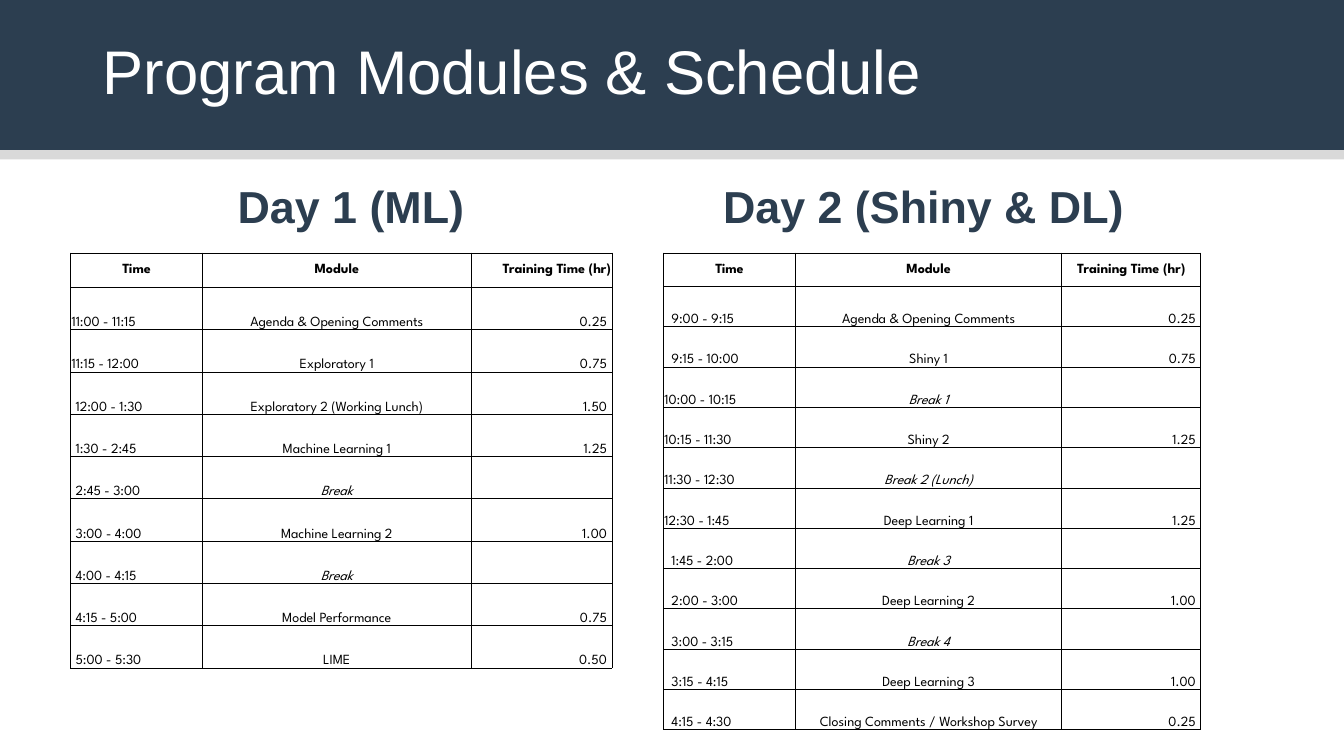
from lxml.etree import SubElement
from pptx import Presentation
from pptx.dml.color import RGBColor
from pptx.enum.shapes import MSO_SHAPE as Shape
from pptx.enum.text import MSO_ANCHOR as Anchor, PP_ALIGN as Align
from pptx.oxml.ns import qn
from pptx.util import Inches, Pt

COLORS = {"navy": "2C3E50", "white": "FFFFFF", "rule": "D9D9D9", "ink": "000000"}
CELL_FONT = "League Spartan"
HEADERS = ("Time", "Module", "Training Time (hr)")
DAY_1 = [
    ("11:00 - 11:15", "Agenda & Opening Comments", "0.25"),
    ("11:15 - 12:00", "Exploratory 1", "0.75"),
    ("12:00 - 1:30", "Exploratory 2 (Working Lunch)", "1.50"),
    ("1:30 - 2:45", "Machine Learning 1", "1.25"),
    ("2:45 - 3:00", "Break", ""),
    ("3:00 - 4:00", "Machine Learning 2", "1.00"),
    ("4:00 - 4:15", "Break", ""),
    ("4:15 - 5:00", "Model Performance", "0.75"),
    ("5:00 - 5:30", "LIME", "0.50"),
]
DAY_2 = [
    ("9:00 - 9:15", "Agenda & Opening Comments", "0.25"),
    ("9:15 - 10:00", "Shiny 1", "0.75"),
    ("10:00 - 10:15", "Break 1", ""),
    ("10:15 - 11:30", "Shiny 2", "1.25"),
    ("11:30 - 12:30", "Break 2 (Lunch)", ""),
    ("12:30 - 1:45", "Deep Learning 1", "1.25"),
    ("1:45 - 2:00", "Break 3", ""),
    ("2:00 - 3:00", "Deep Learning 2", "1.00"),
    ("3:00 - 3:15", "Break 4", ""),
    ("3:15 - 4:15", "Deep Learning 3", "1.00"),
    ("4:15 - 4:30", "Closing Comments / Workshop Survey", "0.25"),
]


def color(name):
    return RGBColor.from_string(COLORS[name])


def write(frame, text, size=10, font=CELL_FONT, ink="ink", bold=False,
          italic=False, align=Align.LEFT, spacing=None, before=None):
    paragraph = frame.paragraphs[0]
    paragraph.alignment = align
    paragraph.line_spacing = spacing
    paragraph.space_before = before
    style = paragraph.font
    if text:
        run = paragraph.add_run()
        run.text = text
        style = run.font
    style.size, style.name = Pt(size), font
    style.bold, style.italic = bold, italic
    style.color.rgb = color(ink)


def set_margins(holder, left, top, right, bottom):
    holder.margin_left, holder.margin_top = Inches(left), Inches(top)
    holder.margin_right, holder.margin_bottom = Inches(right), Inches(bottom)


def add_band(slide, top, height, fill):
    band = slide.shapes.add_shape(Shape.RECTANGLE, 0, Inches(top),
                                  Inches(13.33), Inches(height))
    band.shadow.inherit = False
    band.fill.solid()
    band.fill.fore_color.rgb = color(fill)
    band.line.fill.background()


def add_title(slide, text):
    title = slide.shapes.title
    title.left, title.top = Inches(0.92), Inches(0.16)
    title.width, title.height = Inches(11.5), Inches(1.16)
    frame = title.text_frame
    frame.vertical_anchor = Anchor.MIDDLE
    set_margins(frame, 0.1, 0.1, 0.1, 0.1)
    write(frame, text, size=44, font="Arial", ink="white", spacing=0.9)


def add_day_heading(slide, left, text):
    heading = slide.shapes.add_textbox(Inches(left), Inches(1.73),
                                       Inches(5.69), Inches(4.76))
    frame = heading.text_frame
    frame.word_wrap = True
    set_margins(frame, 0.29, 0.1, 0.1, 0.1)
    write(frame, text, size=32, font="Arial", ink="navy", bold=True,
          align=Align.CENTER, spacing=0.9, before=Pt(10))


def add_borders(cell):
    properties = cell._tc.get_or_add_tcPr()
    for side in ("lnL", "lnR", "lnT", "lnB"):
        border = SubElement(properties, qn(f"a:{side}"), w=str(Pt(0.5)))
        fill = SubElement(border, qn("a:solidFill"))
        SubElement(fill, qn("a:srgbClr"), val=COLORS["ink"])


def fill_cell(cell, text, anchor=Anchor.BOTTOM, left=0.01, right=0.01, **style):
    add_borders(cell)
    cell.fill.background()
    cell.vertical_anchor = anchor
    set_margins(cell, left, 0.01, right, 0)
    write(cell.text_frame, text, **style)


def add_schedule(slide, left, sessions, widths, header_height, row_height,
                 time_indent, flush_hours, hours_align):
    heights = [header_height] + [row_height] * len(sessions)
    table = slide.shapes.add_table(
        len(heights), len(widths), Inches(left), Inches(2.51),
        Inches(sum(widths)), Inches(sum(heights))).table
    table.first_row = table.horz_banding = False
    for column, width in zip(table.columns, widths):
        column.width = Inches(width)
    for row, height in zip(table.rows, heights):
        row.height = Inches(height)

    header_aligns = (Align.CENTER, Align.CENTER, hours_align)
    for column, (header, align) in enumerate(zip(HEADERS, header_aligns)):
        fill_cell(table.cell(0, column), header, anchor=Anchor.MIDDLE,
                  bold=True, align=align)
    for row, (time, module, hours) in enumerate(sessions, start=1):
        flush = time.split(":")[0] in flush_hours
        fill_cell(table.cell(row, 0), time, left=0.01 if flush else time_indent)
        fill_cell(table.cell(row, 1), module, align=Align.CENTER,
                  italic=module.startswith("Break"))
        fill_cell(table.cell(row, 2), hours, right=0.05, align=Align.RIGHT)


def main():
    deck = Presentation()
    deck.slide_width, deck.slide_height = Inches(13.33), Inches(7.5)
    slide = deck.slides.add_slide(deck.slide_layouts[5])
    slide.background.fill.solid()
    slide.background.fill.fore_color.rgb = color("navy")

    add_band(slide, 1.49, 6.01, "white")
    add_band(slide, 1.49, 0.09, "rule")
    add_title(slide, "Program Modules & Schedule")
    add_day_heading(slide, 0.54, "Day 1 (ML)")
    add_day_heading(slide, 6.22, "Day 2 (Shiny & DL)")
    add_schedule(slide, 6.58, DAY_2, (1.31, 2.64, 1.38), 0.33, 0.4,
                 time_indent=0.08, flush_hours=("10", "11", "12"),
                 hours_align=Align.CENTER)
    add_schedule(slide, 0.7, DAY_1, (1.31, 2.66, 1.4), 0.34, 0.42,
                 time_indent=0.05, flush_hours=("11",),
                 hours_align=Align.RIGHT)
    deck.save("out.pptx")


main()
